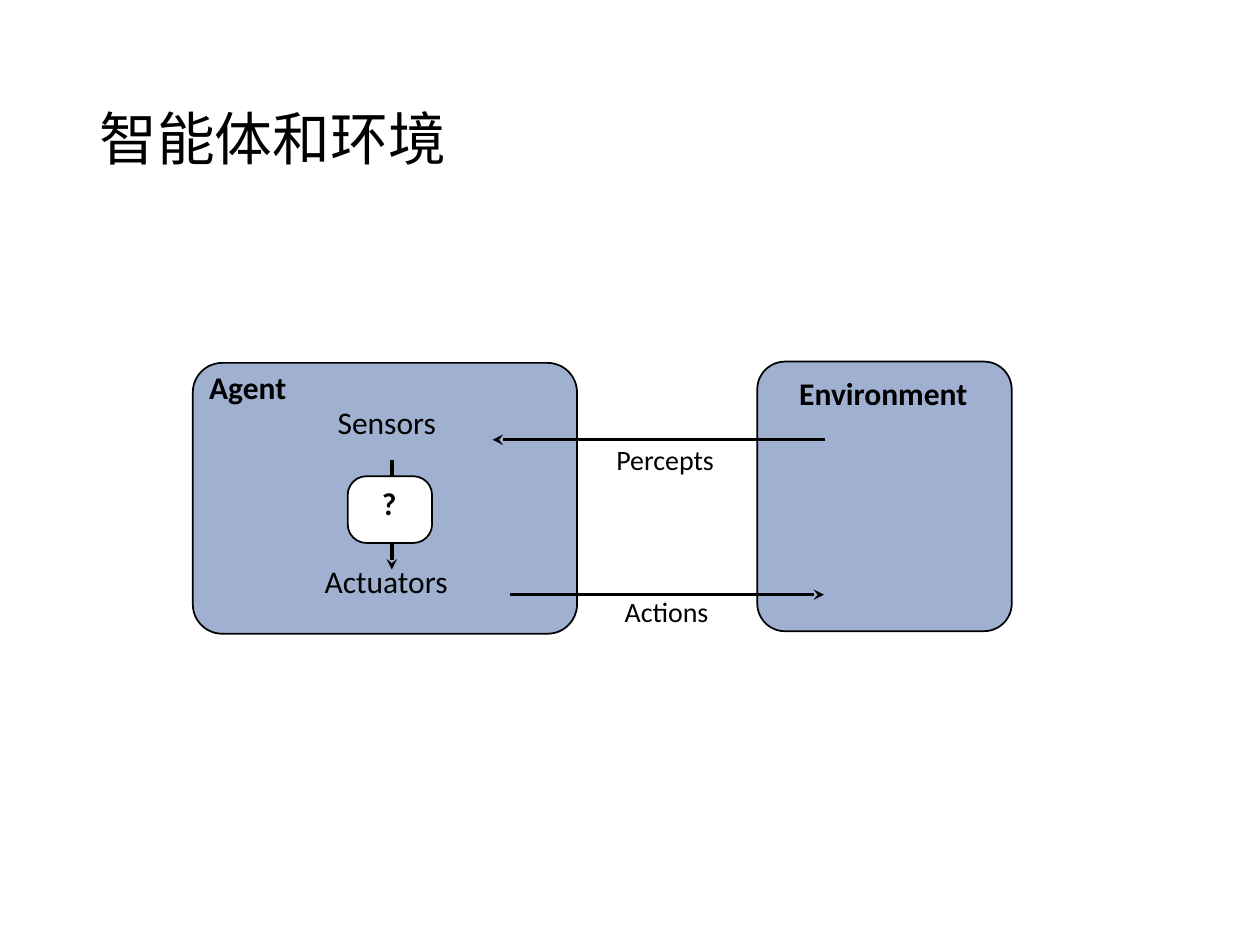
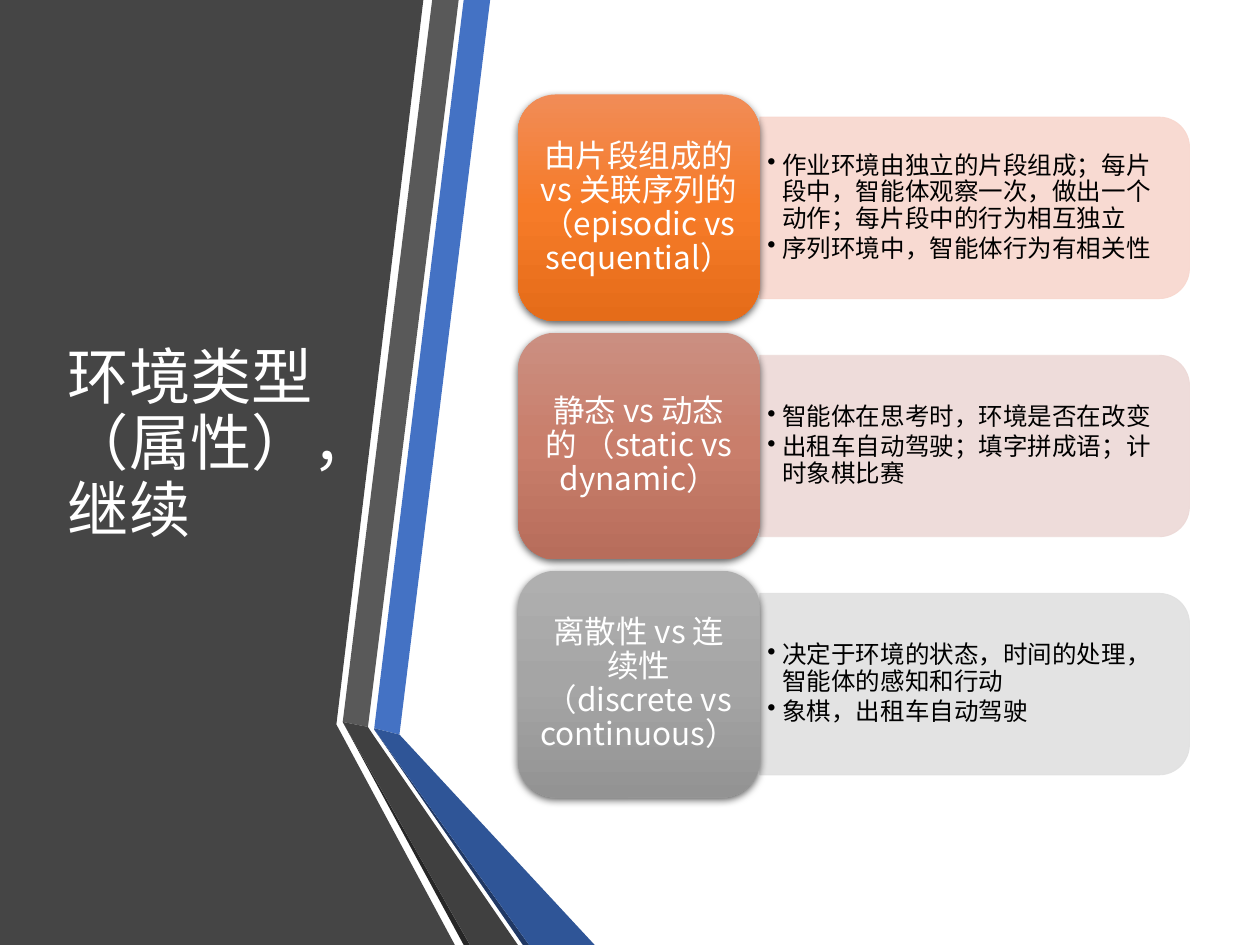
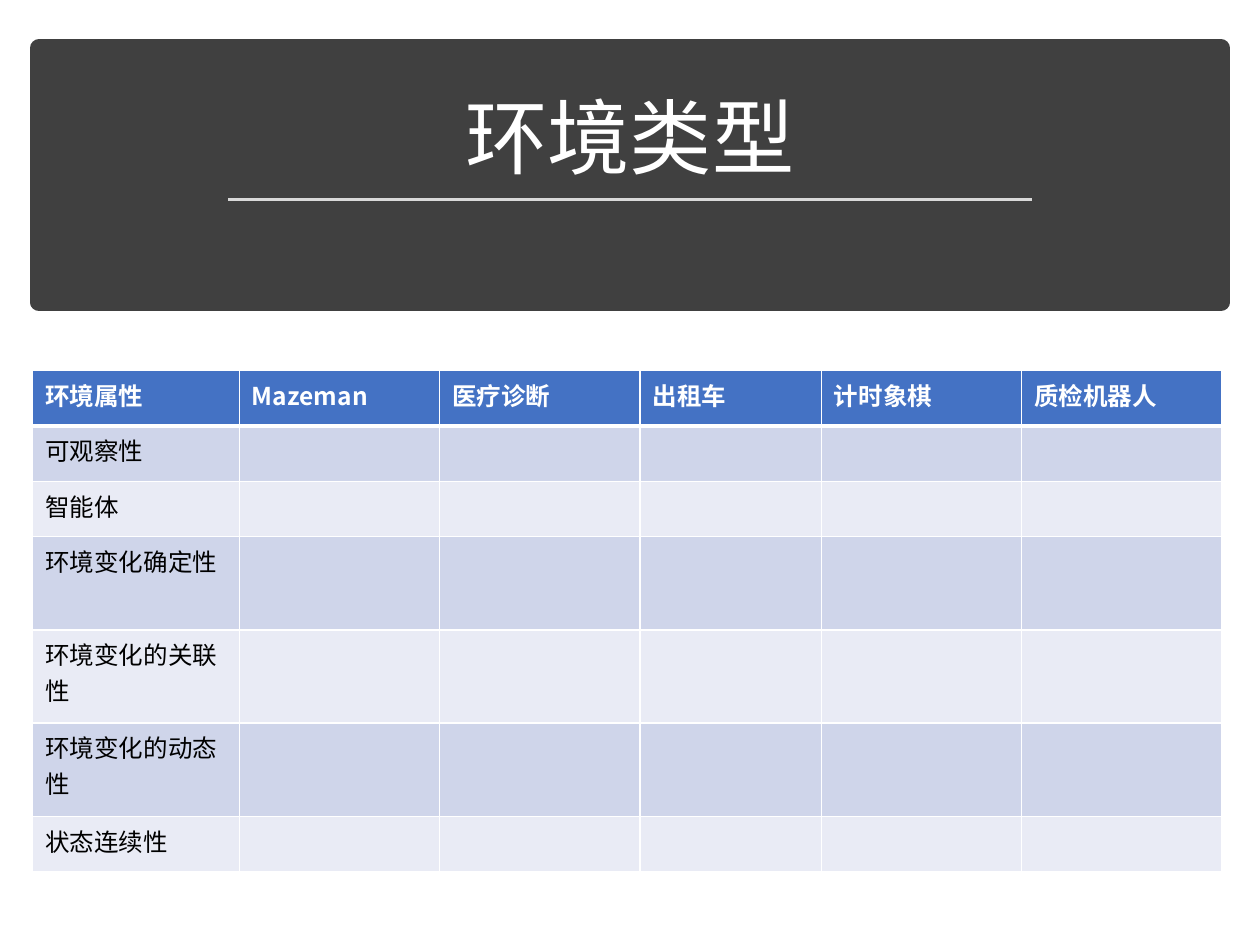
from copy import deepcopy

from lxml.etree import SubElement
from pptx import Presentation
from pptx.dml.color import RGBColor
from pptx.enum.shapes import MSO_CONNECTOR as Connector, MSO_SHAPE as Preset
from pptx.enum.text import MSO_ANCHOR as Anchor, PP_ALIGN as Align
from pptx.oxml.ns import qn
from pptx.util import Inches, Pt

BLACK, WHITE = "000000", "FFFFFF"
CHARCOAL, BLUE, PANEL = "404040", "4472C4", "9FB0D1"
CHINESE, LATIN = "Noto Sans CJK SC", "Calibri"


def rgb(color):
    """Turn a hex string into a colour."""
    return RGBColor.from_string(color)


def inches(*lengths):
    """Turn plain numbers into lengths."""
    return [Inches(length) for length in lengths]


class Deck:
    """Holds the shared style and draws on the current slide."""

    def __init__(self):
        """Start an empty presentation."""
        self.presentation = Presentation()
        self.presentation.slide_width, self.presentation.slide_height = inches(10, 7.5)
        self.shapes = None

    def new_slide(self):
        """Add a blank slide and make it current."""
        layout = self.presentation.slide_layouts[6]
        self.shapes = self.presentation.slides.add_slide(layout).shapes

    def style_font(self, paragraph, size, color, font=CHINESE, bold=False):
        """Set the font of a whole paragraph."""
        paragraph.font.name, paragraph.font.size = font, Pt(size)
        paragraph.font.bold, paragraph.font.color.rgb = bold, rgb(color)
        SubElement(paragraph.font._rPr, qn("a:ea"), typeface=font)

    def fill_frame(self, frame, lines, size, color, insets, align=Align.LEFT, anchor=Anchor.TOP,
                   font=CHINESE, bold=False, spacing=None, after=None, bullet=None):
        """Fill a text frame with paragraphs."""
        frame.word_wrap, frame.vertical_anchor = True, anchor
        (frame.margin_left, frame.margin_top,
         frame.margin_right, frame.margin_bottom) = inches(*insets)
        for index, line in enumerate(lines):
            paragraph = frame.add_paragraph() if index else frame.paragraphs[0]
            paragraph.text, paragraph.alignment = line, align
            paragraph.line_spacing, paragraph.space_after = spacing, after
            if bullet:
                properties = paragraph._p.get_or_add_pPr()
                properties.set("marL", str(Inches(0.12)))
                properties.set("indent", str(-Inches(0.12)))
                SubElement(properties, qn("a:buChar"), char=bullet)
            self.style_font(paragraph, size, color, font, bold)

    def text(self, box, lines, size, color=BLACK, insets=(0.1, 0.05, 0.1, 0.05), **style):
        """Add a text box."""
        frame = self.shapes.add_textbox(*inches(*box)).text_frame
        self.fill_frame(frame, lines, size, color, insets, **style)

    def title(self, box, words, size, color=BLACK, align=Align.LEFT, anchor=Anchor.MIDDLE):
        """Add a slide title."""
        self.text(box, [words], size, color, align=align, anchor=anchor, spacing=0.9)

    def label(self, box, words, size=18, bold=False, align=Align.CENTER):
        """Add a diagram label."""
        self.text(box, [words], size, insets=(0.03, 0, 0.04, 0), font=LATIN, bold=bold,
                  align=align)

    def paint(self, shape, fill, line=None, width=1):
        """Give a shape a flat fill and an optional outline."""
        shape.shadow.inherit = False
        shape.fill.solid()
        shape.fill.fore_color.rgb = rgb(fill)
        if line:
            shape.line.color.rgb, shape.line.width = rgb(line), Pt(width)
        else:
            shape.line.fill.background()

    def shape(self, preset, box, fill, line=None, width=1, corner=None):
        """Add a preset shape."""
        shape = self.shapes.add_shape(preset, *inches(*box))
        self.paint(shape, fill, line, width)
        if corner:
            shape.adjustments[0] = corner
        return shape

    def outline(self, points, fill):
        """Add a filled polygon."""
        first, *others = [inches(*point) for point in points]
        builder = self.shapes.build_freeform(*first)
        builder.add_line_segments(others, close=True)
        self.paint(builder.convert_to_shape(), fill)

    def line(self, start, end, color=BLACK, width=2, arrow=None):
        """Add a straight line, with an arrowhead at its end if named."""
        connector = self.shapes.add_connector(Connector.STRAIGHT, *inches(*start, *end))
        connector.line.color.rgb, connector.line.width = rgb(color), Pt(width)
        if arrow:
            SubElement(connector.line._get_or_add_ln(), qn("a:tailEnd"), type=arrow)
        SubElement(connector._element.spPr, qn("a:effectLst"))

    def card(self, box, colors, words):
        """Add a rounded card with a vertical gradient and a soft shadow."""
        card = self.shape(Preset.ROUNDED_RECTANGLE, box, colors[0])
        card.fill.gradient()
        card.fill.gradient_angle = 270
        stop_list = card._element.spPr.find(".//" + qn("a:gsLst"))
        stop_list.insert(0, deepcopy(stop_list[0]))
        for stop, color, position in zip(card.fill.gradient_stops, colors, (0, 0.5, 1)):
            stop.color.rgb, stop.position = rgb(color), position
        effects = card._element.spPr.find(qn("a:effectLst"))
        shadow = SubElement(effects, qn("a:outerShdw"), blurRad=str(Pt(4.5)),
                            dist=str(Pt(1.5)), dir="5400000", algn="ctr", rotWithShape="0")
        tint = SubElement(shadow, qn("a:srgbClr"), val=BLACK)
        SubElement(tint, qn("a:alpha"), val="63000")
        self.fill_frame(card.text_frame, [words], 18, WHITE, (0.07, 0.04, 0.07, 0.04),
                        align=Align.CENTER, anchor=Anchor.MIDDLE, spacing=0.9)

    def bar(self, box, color):
        """Add a translucent bar rounded on its right side."""
        left, top, width, height = box
        shift = (width - height) / 2
        bar = self.shape(Preset.ROUND_2_SAME_RECTANGLE,
                         (left + shift, top - shift, height, width), color, color, 0.5)
        bar.rotation = 90
        for tint in bar._element.spPr.iter(qn("a:srgbClr")):
            SubElement(tint, qn("a:alpha"), val="90000")

    def cell(self, cell, words, fill, color, bold, top, bottom):
        """Fill one table cell and rule its four sides."""
        properties = cell._tc.get_or_add_tcPr()
        for side, width in (("L", 1), ("R", 1), ("T", top), ("B", bottom)):
            border = SubElement(properties, qn("a:ln" + side), w=str(Pt(width)))
            SubElement(SubElement(border, qn("a:solidFill")), qn("a:srgbClr"), val=WHITE)
        cell.fill.solid()
        cell.fill.fore_color.rgb = rgb(fill)
        cell.text = words
        self.style_font(cell.text_frame.paragraphs[0], 14, color, bold=bold)

    def table(self, left, top, widths, heights, headers, row_names):
        """Add a banded table with a header row and named rows."""
        frame = self.shapes.add_table(len(heights), len(widths),
                                      *inches(left, top, sum(widths), sum(heights)))
        table = frame.table
        for column, width in zip(table.columns, widths):
            column.width = Inches(width)
        for index, (row, height) in enumerate(zip(table.rows, heights)):
            row.height = Inches(height)
            header = index == 0
            words = headers if header else [row_names[index - 1]] + [""] * (len(widths) - 1)
            fill = BLUE if header else ("E9EBF5", "CFD5EA")[index % 2]
            for cell, word in zip(row.cells, words):
                self.cell(cell, word, fill, WHITE if header else BLACK, header,
                          top=3 if index == 1 else 1, bottom=3 if header else 1)


def agent_slide(deck):
    """Draw the agent and its environment."""
    deck.new_slide()
    deck.title((0.69, 0.4, 8.62, 1.45), "智能体和环境", 33)
    rounded = Preset.ROUNDED_RECTANGLE
    deck.shape(rounded, (1.53, 2.88, 3.05, 2.15), PANEL, BLACK, corner=0.109)
    deck.line((3.11, 3.65), (3.11, 4.52), arrow="stealth")
    deck.label((1.63, 2.92, 1.12, 0.58), "Agent", bold=True, align=Align.LEFT)
    deck.shape(rounded, (2.76, 3.78, 0.67, 0.53), WHITE, BLACK, corner=0.281)
    deck.label((2.98, 3.84, 0.23, 0.46), "?", bold=True)
    deck.label((2.38, 3.2, 1.39, 0.59), "Sensors")
    deck.label((2.29, 4.46, 1.56, 0.48), "Actuators")
    deck.shape(rounded, (6.01, 2.87, 2.02, 2.14), PANEL, BLACK, corner=0.109)
    deck.label((5.87, 2.97, 2.29, 0.58), "Environment", bold=True)
    deck.line((6.55, 3.49), (3.91, 3.49), arrow="stealth")
    deck.line((4.05, 4.72), (6.54, 4.72), arrow="stealth")
    deck.label((4.62, 3.51, 1.33, 0.44), "Percepts", 16)
    deck.label((4.72, 4.72, 1.15, 0.5), "Actions", 16)


def properties_slide(deck):
    """Draw the environment properties beside the folded ribbons."""
    deck.new_slide()
    ribbons = [
        ("454545", [(0, 0), (2.64, 0), (3.36, 0), (2.67, 5.75), (3.61, 7.5), (0, 7.5)]),
        (BLUE, [(2.97, 5.78), (3.17, 5.83), (3.89, 0), (3.68, 0)]),
        ("595959", [(3.64, 0), (3.43, 0), (2.72, 5.73), (2.92, 5.77)]),
        ("262626", [(2.72, 5.73), (3.68, 7.5), (3.73, 7.5)]),
        ("203864", [(2.97, 5.79), (4.15, 7.5), (4.2, 7.5)]),
        ("2F5597", [(2.97, 5.79), (4.2, 7.5), (4.72, 7.5), (3.17, 5.83), (2.97, 5.78)]),
        (CHARCOAL, [(4.11, 7.5), (2.96, 5.83), (2.92, 5.77), (2.72, 5.73), (3.73, 7.5)]),
    ]
    for color, points in ribbons:
        deck.outline(points, color)
    deck.title((0.44, 0.75, 2.28, 5.58), "环境类型（属性），继续", 35, WHITE)
    properties = [
        ("由片段组成的 vs 关联序列的（episodic vs sequential）",
         ["作业环境由独立的片段组成；每片段中，智能体观察一次，做出一个动作；每片段中的行为相互独立",
          "序列环境中，智能体行为有相关性"],
         ("F18C57", "F67B28", "E56C19"), "F8D7CE"),
        ("静态 vs 动态的 （static vs dynamic）",
         ["智能体在思考时，环境是否在改变", "出租车自动驾驶；填字拼成语；计时象棋比赛"],
         ("CB8F81", "C97E6B", "B76D5B"), "EDD9D7"),
        ("离散性 vs 连续性（discrete vs continuous）",
         ["决定于环境的状态，时间的处理，智能体的感知和行动", "象棋，出租车自动驾驶"],
         ("AFAFAF", "A5A5A5", "939393"), "E1E1E1"),
    ]
    for index, (name, details, gradient, tint) in enumerate(properties):
        top = 0.75 + 1.89 * index
        deck.bar((6.03, top + 0.18, 3.41, 1.44), tint)
        deck.text((6.03, top + 0.25, 3.34, 1.3), details, 14, insets=(0.06, 0.03, 0.06, 0.03),
                  anchor=Anchor.MIDDLE, spacing=0.9, after=Pt(2), bullet="•")
        deck.card((4.11, top, 1.92, 1.8), gradient, name)


def types_slide(deck):
    """Draw the table of environment types."""
    deck.new_slide()
    deck.shape(Preset.RECTANGLE, (0.31, 0.38, 9.38, 2.02), CHARCOAL, CHARCOAL, 10)
    deck.title((0.43, 0.51, 9.14, 1.02), "环境类型", 47, WHITE, Align.CENTER, Anchor.BOTTOM)
    deck.line((1.81, 1.58), (8.19, 1.58), "D9D9D9", 1.75)
    deck.table(0.26, 2.94, [1.64, 1.59, 1.59, 1.44, 1.59, 1.59], [0.44] * 3 + [0.74] * 3 + [0.44],
               ["环境属性", "Mazeman", "医疗诊断", "出租车", "计时象棋", "质检机器人"],
               ["可观察性", "智能体", "环境变化确定性", "环境变化的关联性",
                "环境变化的动态性", "状态连续性"])


def main():
    """Build and save the slides."""
    deck = Deck()
    agent_slide(deck)
    properties_slide(deck)
    types_slide(deck)
    deck.presentation.save("out.pptx")


if __name__ == "__main__":
    main()
